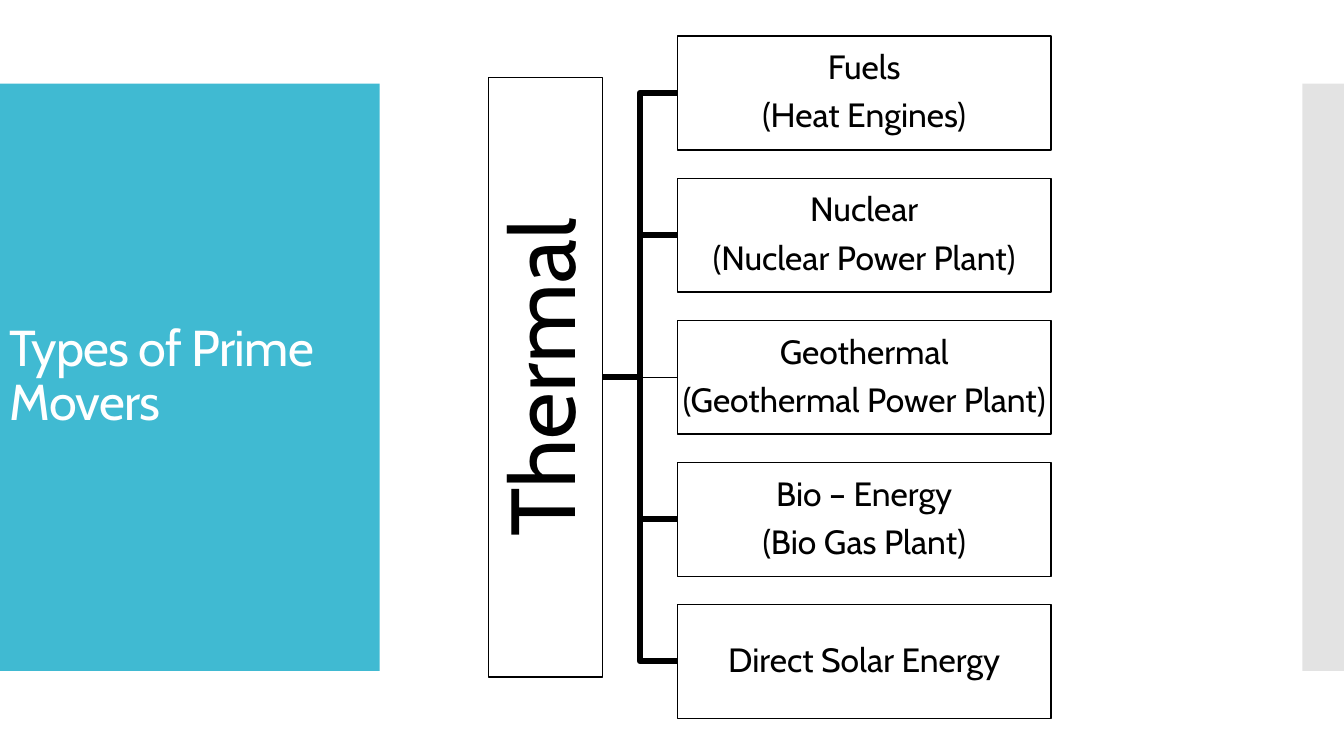
from lxml import etree
from pptx import Presentation
from pptx import util as u
from pptx.dml.color import RGBColor
from pptx.enum import shapes, text
from pptx.oxml.ns import qn

COLORS = {"teal": "40BAD2", "grey": "C8C8C8", "black": "000000", "white": "FFFFFF"}
SOURCES = [
    ["Fuels", "(Heat Engines)"],
    ["Nuclear", "(Nuclear Power Plant)"],
    ["Geothermal", "(Geothermal Power Plant)"],
    ["Bio – Energy", "(Bio Gas Plant)"],
    ["Direct Solar Energy"],
]
THIN, THICK = 0.85, 4.5
BOX_LEFT, BOX_TOP, BOX_WIDTH, BOX_HEIGHT, PITCH = 17.07, 0.91, 9.42, 2.87, 3.58
ROOT_LENGTH, ROOT_RIGHT = 15.11, 15.19


class SlideBuilder:
    font = "Cabin"

    def __init__(self, page):
        self.page = page

    def color(self, name):
        return RGBColor.from_string(COLORS[name])

    def outline(self, shape, width):
        shape.line.color.rgb = self.color("black")
        shape.line.width = u.Pt(width)

    def rect(self, left, top, width, height, fill, border=None, alpha=None):
        box = self.page.shapes.add_shape(
            shapes.MSO_SHAPE.RECTANGLE, *map(u.Cm, (left, top, width, height)))
        box.shadow.inherit = False
        box.fill.solid()
        box.fill.fore_color.rgb = self.color(fill)
        if border:
            self.outline(box, border)
        else:
            box.line.fill.background()
        if alpha:
            tint = box._element.spPr.find(qn("a:solidFill")).find(qn("a:srgbClr"))
            etree.SubElement(tint, qn("a:alpha"), val=str(alpha * 1000))
        return box

    def label(self, box, lines, size, color="black", align="CENTER", inset=0.05,
              after=0.35, tracking=None):
        """Fill a box with paragraphs; after is a share of the text size."""
        frame = box.text_frame
        margins = {f"margin_{side}": u.Cm(inset) for side in ("left", "right", "top", "bottom")}
        layout = {"word_wrap": True, "vertical_anchor": text.MSO_ANCHOR.MIDDLE, **margins}
        for name, value in layout.items():
            setattr(frame, name, value)
        spacing = {"alignment": text.PP_ALIGN[align], "line_spacing": 0.9,
                   "space_after": u.Pt(size * after)}
        for index, line in enumerate(lines):
            para = frame.add_paragraph() if index else frame.paragraphs[0]
            for name, value in spacing.items():
                setattr(para, name, value)
            span = para.add_run()
            span.text = line
            for name, value in {"name": self.font, "size": u.Pt(size)}.items():
                setattr(span.font, name, value)
            span.font.color.rgb = self.color(color)
            if tracking:
                span._r.get_or_add_rPr().set("spc", str(round(tracking * 100)))

    def title(self, left, top, width, height, words):
        box = self.page.shapes.add_textbox(*map(u.Cm, (left, top, width, height)))
        self.label(box, [words], 36, "white", "LEFT", inset=0.25, after=0, tracking=-0.6)

    def straight(self, x1, x2, y):
        line = self.page.shapes.add_connector(
            shapes.MSO_CONNECTOR.STRAIGHT, *map(u.Cm, (x1, y, x2, y)))
        self.outline(line, THIN)
        etree.SubElement(line._element.spPr, qn("a:effectLst"))

    def elbow(self, x1, y1, x2, y2):
        middle = (x1 + x2) / 2
        points = [(u.Cm(x), u.Cm(y)) for x, y in
                  ((x1, y1), (middle, y1), (middle, y2), (x2, y2))]
        builder = self.page.shapes.build_freeform(*points[0])
        builder.add_line_segments(points[1:], close=False)
        branch = builder.convert_to_shape()
        branch.shadow.inherit = False
        branch.fill.background()
        self.outline(branch, THICK)
        etree.SubElement(branch._element.spPr.find(qn("a:ln")), qn("a:round"))


def main():
    deck = Presentation()
    deck.slide_width, deck.slide_height = u.Cm(33.87), u.Cm(19.05)
    slide = SlideBuilder(deck.slides.add_slide(deck.slide_layouts[6]))

    slide.rect(0, 2.11, 9.57, 14.8, "teal")
    slide.rect(32.82, 2.11, 1.05, 14.8, "grey", alpha=50)
    slide.title(0, 3.12, 9.53, 12.78, "Types of Prime Movers")

    tops = [BOX_TOP + PITCH * row for row in range(len(SOURCES))]
    centers = [top + BOX_HEIGHT / 2 for top in tops]
    root_y = centers[len(centers) // 2]
    for center in centers:
        if center == root_y:
            slide.straight(ROOT_RIGHT, BOX_LEFT, center)
        else:
            slide.elbow(ROOT_RIGHT, root_y, BOX_LEFT, center)

    root_x = ROOT_RIGHT - BOX_HEIGHT / 2
    root = slide.rect(root_x - ROOT_LENGTH / 2, root_y - BOX_HEIGHT / 2,
                      ROOT_LENGTH, BOX_HEIGHT, "white", THIN)
    root.rotation = 270
    slide.label(root, ["Thermal"], 65, inset=0.13)

    for top, lines in zip(tops, SOURCES):
        box = slide.rect(BOX_LEFT, top, BOX_WIDTH, BOX_HEIGHT, "white", THIN)
        slide.label(box, lines, 24)

    deck.save("out.pptx")


if __name__ == "__main__":
    main()
